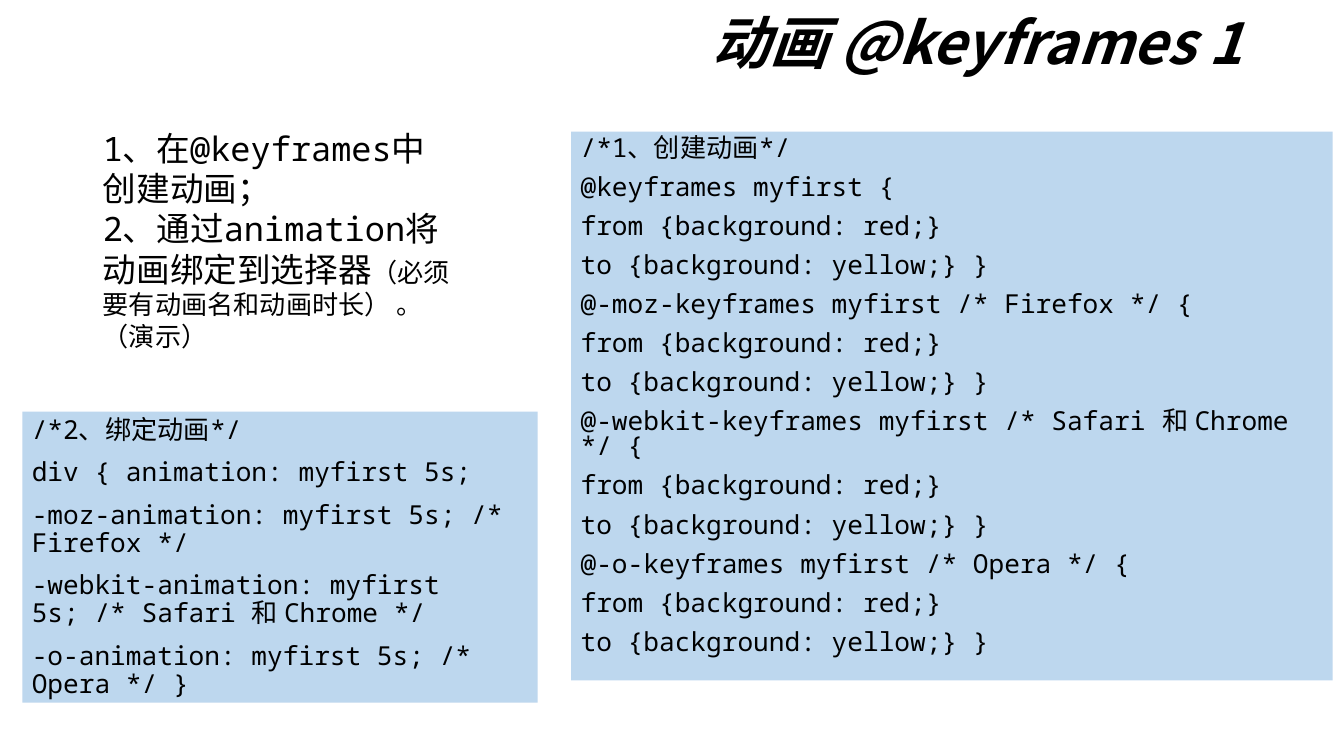
"""Build the slide on creating and binding a CSS @keyframes animation."""
from dataclasses import dataclass

from pptx import Presentation
from pptx import util as u
from pptx.dml.color import RGBColor
from pptx.enum import shapes, text
from pptx.oxml.ns import qn

COLORS = {"ink": "000000", "panel": "BDD7EE"}
MONO, SANS = "Noto Sans Mono", "Noto Sans CJK JP"
WIDTH = u.Inches(10)
HEIGHT = WIDTH * 9 // 16
UNIT = WIDTH / 120

Run = tuple[str, float]


@dataclass(frozen=True)
class Block:
    """A text block placed in grid columns and rows."""
    col: float
    row: float
    cols: float
    rows: float
    paragraphs: list[list[Run]]
    spacing: float = 1.0
    before: float = 0
    inset: tuple[float, float] = (0.07, 0.04)
    font: str = MONO
    fill: str | None = None
    heading: bool = False


def code(lines: list[str]) -> list[list[Run]]:
    """Turn code lines into single-run paragraphs."""
    return [[(line, 14)] for line in lines]


def add_run(p, words: str, size: float, block: Block) -> None:
    """Append one styled run to a paragraph."""
    r = p.add_run()
    r.text = words
    r.font.size = u.Pt(size)
    r.font.name = block.font
    r.font.color.rgb = RGBColor.from_string(COLORS["ink"])
    r.font.bold = r.font.italic = block.heading
    ea = r.font._element.makeelement(qn("a:ea"), {"typeface": SANS})
    r.font._element.find(qn("a:latin")).addnext(ea)


def add_block(s, block: Block) -> None:
    """Draw a block as a filled panel or a plain text box."""
    box = [round(n * UNIT) for n in (block.col, block.row, block.cols, block.rows)]
    if block.fill:
        sp = s.shapes.add_shape(shapes.MSO_SHAPE.RECTANGLE, *box)
        sp.shadow.inherit = False
        sp.fill.solid()
        sp.fill.fore_color.rgb = RGBColor.from_string(COLORS[block.fill])
        sp.line.fill.background()
    else:
        sp = s.shapes.add_textbox(*box)
    tf = sp.text_frame
    tf.word_wrap = True
    tf.margin_left = tf.margin_right = u.Inches(block.inset[0])
    tf.margin_top = tf.margin_bottom = u.Inches(block.inset[1])
    anchor = text.MSO_ANCHOR
    tf.vertical_anchor = anchor.MIDDLE if block.heading else anchor.TOP
    for i, runs in enumerate(block.paragraphs):
        p = tf.add_paragraph() if i else tf.paragraphs[0]
        p.alignment = text.PP_ALIGN.RIGHT if block.heading else text.PP_ALIGN.LEFT
        p.line_spacing = block.spacing
        p.space_before = u.Pt(block.before if i else 0)
        for words, size in runs:
            add_run(p, words, size, block)


def main() -> None:
    """Create the presentation and save it."""
    prs = Presentation()
    prs.slide_width, prs.slide_height = WIDTH, HEIGHT
    s = prs.slides.add_slide(prs.slide_layouts[6])

    rules = [
        "@keyframes myfirst {",
        "@-moz-keyframes myfirst /* Firefox */ {",
        "@-webkit-keyframes myfirst /* Safari 和 Chrome */ {",
        "@-o-keyframes myfirst /* Opera */ {",
    ]
    steps = ["from {background: red;}", "to {background: yellow;} }"]
    create = ["/*1、创建动画*/"] + [line for rule in rules for line in (rule, *steps)]
    bind = [
        "/*2、绑定动画*/",
        "div { animation: myfirst 5s;",
        "-moz-animation: myfirst 5s; /* Firefox */",
        "-webkit-animation: myfirst 5s; /* Safari 和 Chrome */",
        "-o-animation: myfirst 5s; /* Opera */ }",
    ]
    summary = [
        [("1、在@keyframes中创建动画；", 18)],
        [("2、通过animation将动画绑定到选择器", 18),
         ("（必须要有动画名和动画时长） 。", 14)],
        [("（演示）", 14)],
    ]
    blocks = [
        Block(51, 11.75, 68, 49, code(create), 0.8, 7.5, fill="panel"),
        Block(16.5, 0, 95.25, 8.25, [[("动画 @keyframes 1", 31)]], 0.9,
              font=SANS, heading=True),
        Block(8, 10.8, 34, 24, summary, inset=(0.1, 0.05)),
        Block(2, 36.75, 46, 26, code(bind), 0.9, 7.5, fill="panel"),
    ]
    for block in blocks:
        add_block(s, block)
    prs.save("out.pptx")


if __name__ == "__main__":
    main()
